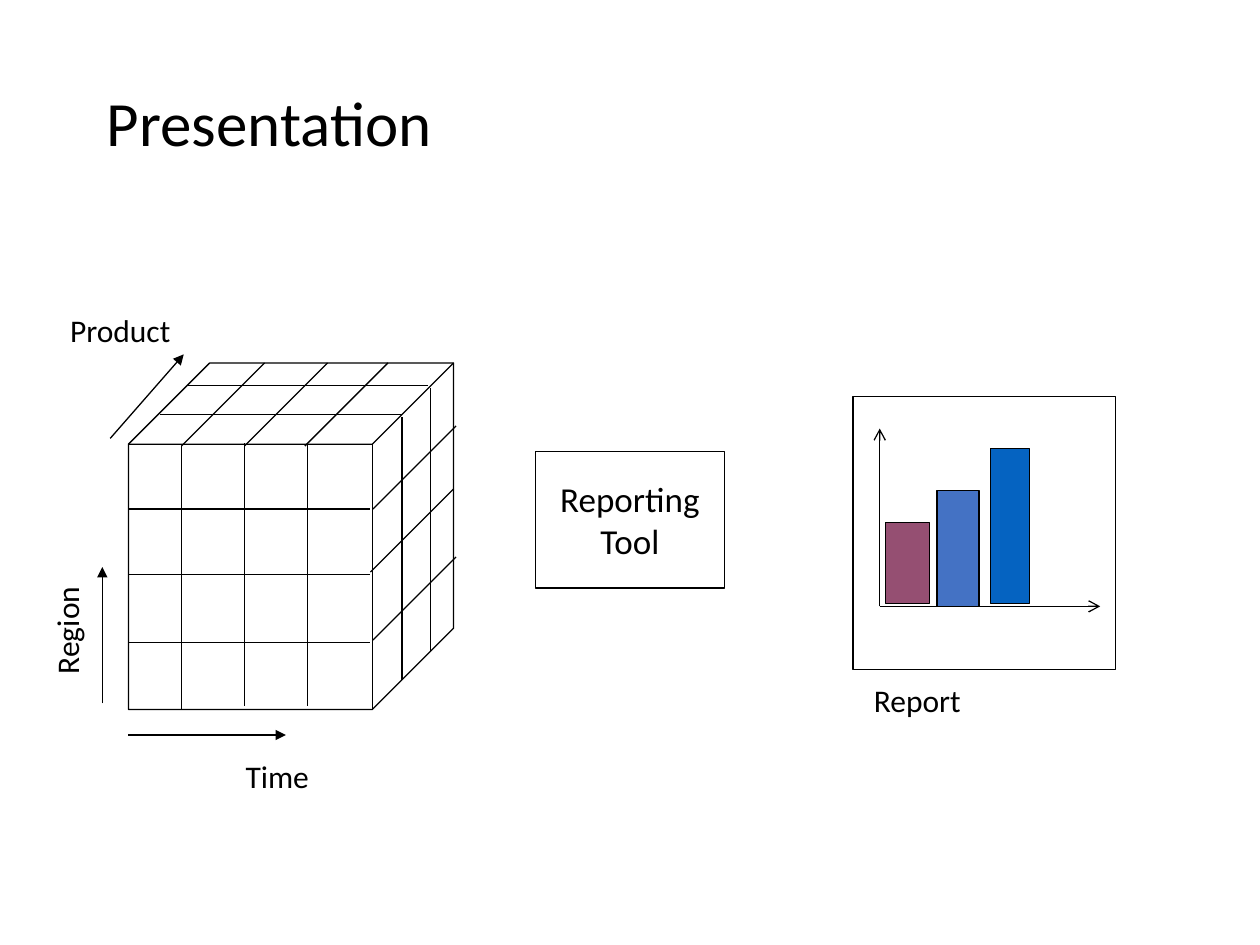
from typing import NamedTuple

from lxml import etree
from pptx import Presentation
from pptx import util as u
from pptx.dml.color import RGBColor
from pptx.enum import shapes, text
from pptx.oxml.ns import qn
from pptx.slide import Slide

BLACK = "000000"
FONT = "Calibri"
LINE_WIDTH = 0.75


class Box(NamedTuple):
    left: float
    top: float
    width: float
    height: float


class Bar(NamedTuple):
    box: Box
    color: str


class Label(NamedTuple):
    wording: str
    box: Box
    rotation: float = 0


class Arrow(NamedTuple):
    start: tuple[float, float]
    end: tuple[float, float]
    head: str


class GridLines(NamedTuple):
    starts: list[tuple[float, float]]
    run: float
    rise: float


CUBE = Box(73.4, 207.4, 185.8, 198)
CUBE_GRID = [
    GridLines([(103.7, 254.9), (139.7, 253.4), (175.7, 253.4),
               (229.7, 238.3), (246.2, 221.8)], 0, 150),
    GridLines([(73.4, 290.9), (73.4, 328.3), (73.4, 367.2),
               (91.4, 236.9), (106.6, 220.3)], 138.2, 0),
    GridLines([(103.7, 254.9), (139.7, 254.9), (174.2, 254.9),
               (213.1, 290.9), (211.7, 326.9), (213.1, 365.8)], 47.5, -47.5),
]
ARROWS = [
    Arrow((73.4, 420), (163.4, 420), "triangle"),
    Arrow((58.5, 402), (58.5, 324), "triangle"),
    Arrow((63, 250.5), (105, 202.5), "triangle"),
    Arrow((502.7, 346.5), (502.7, 244.9), "arrow"),
    Arrow((502.7, 346.5), (628.7, 346.5), "arrow"),
]
LABELS = [
    Label("Time", Box(133.2, 429, 65, 36)),
    Label("Region", Box(0, 332.6, 83.5, 36), -90),
    Label("Product", Box(33, 174, 89.5, 36)),
    Label("Report", Box(492.3, 385.8, 80, 36)),
]
BARS = [
    Bar(Box(535.5, 280.5, 24, 66), "4472C4"),
    Bar(Box(565.9, 256.4, 22.4, 88.6), "0563C1"),
    Bar(Box(505.9, 298.5, 25.2, 46.5), "954F72"),
]
REPORT_FRAME = Box(487.4, 226.6, 150, 156)
REPORTING_TOOL = Box(306, 258, 108, 78)


def points(values) -> list[u.Length]:
    return [u.Pt(value) for value in values]


def color(value: str) -> RGBColor:
    return RGBColor.from_string(value)


def write(shape, wording: str, *, size: float, align=text.PP_ALIGN.LEFT,
          anchor=text.MSO_ANCHOR.TOP, spacing: float = 1.0) -> None:
    frame = shape.text_frame
    frame.word_wrap = True
    frame.vertical_anchor = anchor
    frame.text = wording
    for paragraph in frame.paragraphs:
        paragraph.alignment = align
        paragraph.line_spacing = spacing
        paragraph.font.size = u.Pt(size)
        paragraph.font.name = FONT
        paragraph.font.color.rgb = color(BLACK)


def draw_shape(slide: Slide, box: Box, *, fill: str | None = None,
               preset=shapes.MSO_SHAPE.RECTANGLE):
    shape = slide.shapes.add_shape(preset, *points(box))
    shape.shadow.inherit = False
    if fill:
        shape.fill.solid()
        shape.fill.fore_color.rgb = color(fill)
    else:
        shape.fill.background()
    shape.line.color.rgb = color(BLACK)
    shape.line.width = u.Pt(LINE_WIDTH)
    return shape


def draw_line(slide: Slide, start: tuple[float, float],
              end: tuple[float, float], head: str | None = None) -> None:
    connector = slide.shapes.add_connector(
        shapes.MSO_CONNECTOR.STRAIGHT, *points((*start, *end)))
    connector.line.color.rgb = color(BLACK)
    connector.line.width = u.Pt(LINE_WIDTH)
    if head:
        etree.SubElement(connector.line._get_or_add_ln(), qn("a:tailEnd"), type=head)
    etree.SubElement(connector._element.spPr, qn("a:effectLst"))


def draw_text(slide: Slide, label: Label, **formatting) -> None:
    shape = slide.shapes.add_textbox(*points(label.box))
    shape.rotation = label.rotation
    write(shape, label.wording, **formatting)


def draw_cube(slide: Slide) -> None:
    cube = draw_shape(slide, CUBE, preset=shapes.MSO_SHAPE.CUBE)
    cube.adjustments[0] = 0.25
    for lines in CUBE_GRID:
        for x, y in lines.starts:
            draw_line(slide, (x, y), (x + lines.run, y + lines.rise))


def main() -> None:
    presentation = Presentation()
    presentation.slide_width, presentation.slide_height = points((720, 540))
    slide = presentation.slides.add_slide(presentation.slide_layouts[6])

    draw_text(slide, Label("Presentation", Box(54, 48, 612, 48)), size=36,
              anchor=text.MSO_ANCHOR.MIDDLE, spacing=0.9)
    draw_cube(slide)
    for arrow in ARROWS:
        draw_line(slide, arrow.start, arrow.end, arrow.head)
    for label in LABELS:
        draw_text(slide, label, size=18)
    for bar in BARS:
        draw_shape(slide, bar.box, fill=bar.color)
    draw_shape(slide, REPORT_FRAME)
    write(draw_shape(slide, REPORTING_TOOL), "Reporting\nTool", size=20,
          align=text.PP_ALIGN.CENTER, anchor=text.MSO_ANCHOR.MIDDLE)

    presentation.save("out.pptx")


if __name__ == "__main__":
    main()
